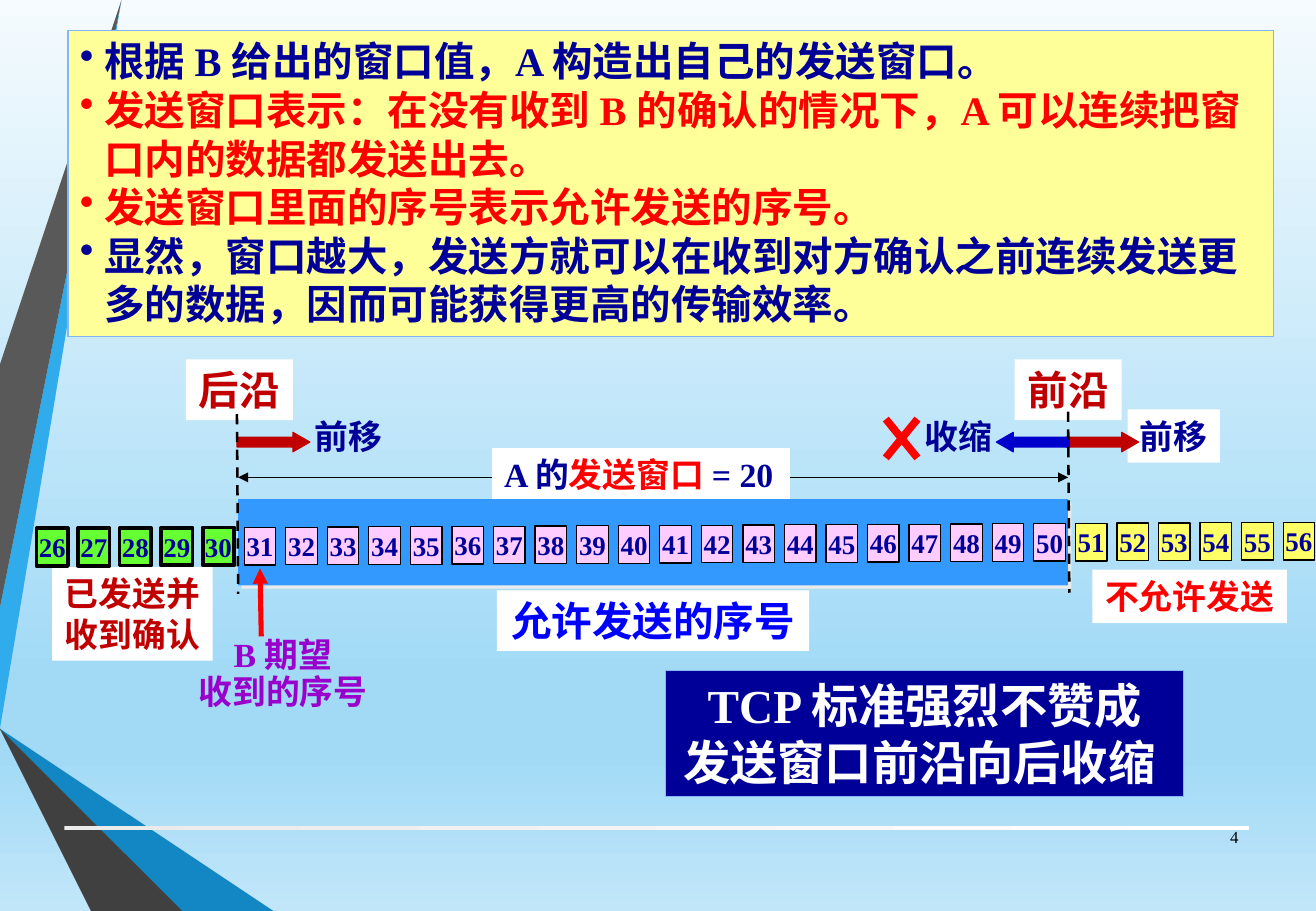
from dataclasses import dataclass
from typing import Optional

from lxml import etree
from pptx import Presentation
from pptx.dml.color import RGBColor
from pptx.enum import dml, shapes, text
from pptx.oxml import ns
from pptx.util import Inches, Pt

FONT = "Times New Roman"
BLACK = RGBColor(0x00, 0x00, 0x00)
WHITE = RGBColor(0xFF, 0xFF, 0xFF)
NAVY = RGBColor(0x00, 0x00, 0x99)
BLUE = RGBColor(0x00, 0x00, 0xFF)
ARROW_BLUE = RGBColor(0x00, 0x00, 0xCC)
RED = RGBColor(0xFF, 0x00, 0x00)
DARK_RED = RGBColor(0xC0, 0x00, 0x00)
PURPLE = RGBColor(0x99, 0x00, 0xCC)
WINDOW_BLUE = RGBColor(0x33, 0x99, 0xFF)
BORDER_BLUE = RGBColor(0x82, 0xB6, 0xF4)
CREAM = RGBColor(0xFF, 0xFF, 0x99)
GREEN = RGBColor(0x66, 0xFF, 0x33)
PINK = RGBColor(0xFF, 0xCC, 0xFF)
YELLOW = RGBColor(0xFF, 0xFF, 0x66)
SILVER = RGBColor(0xEB, 0xEB, 0xEB)
SKY_STOPS = [(0, RGBColor(0xF5, 0xFB, 0xFE)), (74, RGBColor(0xA2, 0xDA, 0xF6)),
             (83, RGBColor(0xA2, 0xDA, 0xF6)), (100, RGBColor(0xC1, 0xE6, 0xF9))]
RULE_STOPS = [(0, SILVER), (100, WHITE)]

LEFT, CENTER, RIGHT = text.PP_ALIGN.LEFT, text.PP_ALIGN.CENTER, text.PP_ALIGN.RIGHT
TOP, MIDDLE = text.MSO_ANCHOR.TOP, text.MSO_ANCHOR.MIDDLE
RECT = shapes.MSO_SHAPE.RECTANGLE
RIGHT_ARROW, LEFT_ARROW = shapes.MSO_SHAPE.RIGHT_ARROW, shapes.MSO_SHAPE.LEFT_ARROW

Run = tuple[str, RGBColor]


@dataclass
class Box:
    at: tuple[float, float, float, float]
    paragraphs: list[list[Run]]
    size: float = 20
    fill: Optional[RGBColor] = WHITE
    line: Optional[RGBColor] = None
    line_width: float = 0.75
    align: text.PP_ALIGN = CENTER
    anchor: text.MSO_ANCHOR = TOP
    bold: bool = True
    wrap: bool = False
    bullet: bool = False
    spacing: Optional[float] = None
    inset: Optional[float] = None


@dataclass
class Line:
    start: tuple[float, float]
    end: tuple[float, float]
    color: RGBColor
    width: float
    ends: tuple[str, ...] = ()
    dashed: bool = False


@dataclass
class Facet:
    color: RGBColor
    points: list[tuple[float, float]]


def set_gradient(element, stops: list[tuple[int, RGBColor]], angle: int) -> None:
    gs_list = next(element.iter(ns.qn("a:gsLst")))
    for gs in list(gs_list):
        gs_list.remove(gs)
    for pos, color in stops:
        gs = etree.SubElement(gs_list, ns.qn("a:gs"), pos=str(pos * 1000))
        etree.SubElement(gs, ns.qn("a:srgbClr"), val=str(color))
    next(element.iter(ns.qn("a:lin"))).set("ang", str(angle * 60000))


def add_shape(s, at, fill: RGBColor, line: Optional[RGBColor] = None,
              width: float = 0.75, kind=RECT):
    sp = s.shapes.add_shape(kind, *map(Inches, at))
    style(sp, fill, line, width)
    return sp


def style(sp, fill: RGBColor, line: Optional[RGBColor], width: float) -> None:
    sp.shadow.inherit = False
    sp.fill.solid()
    sp.fill.fore_color.rgb = fill
    if line is None:
        sp.line.fill.background()
    else:
        sp.line.color.rgb = line
        sp.line.width = Pt(width)


def add_box(s, box: Box) -> None:
    if box.fill is None:
        sp = s.shapes.add_textbox(*map(Inches, box.at))
    else:
        sp = add_shape(s, box.at, box.fill, box.line, box.line_width)
    tf = sp.text_frame
    tf.word_wrap = box.wrap
    tf.vertical_anchor = box.anchor
    if box.inset is not None:
        tf.margin_left = tf.margin_right = tf.margin_top = tf.margin_bottom = Inches(box.inset)
    for i, runs in enumerate(box.paragraphs):
        p = tf.add_paragraph() if i else tf.paragraphs[0]
        if box.bullet:
            pPr = p._p.get_or_add_pPr()
            pPr.set("marL", str(Inches(0.2)))
            pPr.set("indent", str(Inches(-0.2)))
            etree.SubElement(pPr, ns.qn("a:buChar"), char="•")
        p.alignment = box.align
        if box.spacing:
            p.line_spacing = box.spacing
        for words, color in runs:
            r = p.add_run()
            r.text = words
            r.font.name = FONT
            r.font.size = Pt(box.size)
            r.font.bold = box.bold
            r.font.color.rgb = color


def add_line(s, line: Line) -> None:
    sp = s.shapes.add_connector(shapes.MSO_CONNECTOR.STRAIGHT,
                                *map(Inches, line.start + line.end))
    sp.line.color.rgb = line.color
    sp.line.width = Pt(line.width)
    if line.dashed:
        sp.line.dash_style = dml.MSO_LINE.DASH
    for end in line.ends:
        etree.SubElement(sp.line._get_or_add_ln(), ns.qn(f"a:{end}"), type="triangle")
    etree.SubElement(sp._element.spPr, ns.qn("a:effectLst"))


def add_facet(s, facet: Facet) -> None:
    builder = s.shapes.build_freeform(*facet.points[0], scale=Inches(1))
    builder.add_line_segments(facet.points[1:], close=True)
    style(builder.convert_to_shape(), facet.color, None, 0)


def add_arrow(s, left: float, color: RGBColor, kind=RIGHT_ARROW) -> None:
    sp = add_shape(s, (left, 3.56, 0.6, 0.16), color, color, kind=kind)
    sp.adjustments[0], sp.adjustments[1] = 0.5, 0.87


def add_window(s) -> None:
    sp = add_shape(s, (1.96, 4.11, 6.83, 0.71), WINDOW_BLUE)
    effects = sp._element.spPr.find(ns.qn("a:effectLst"))
    shadow = etree.SubElement(effects, ns.qn("a:outerShdw"), dist=str(Pt(2.8)),
                              dir=str(45 * 60000), algn="ctr", rotWithShape="0")
    etree.SubElement(shadow, ns.qn("a:srgbClr"), val=str(SILVER))


def add_sequence(s) -> None:
    first, last = 26, 56
    for n in range(first, last + 1):
        t = (n - first) / (last - first)
        fill = GREEN if n <= 30 else PINK if n <= 50 else YELLOW
        add_box(s, Box((0.3 + 10.26 * t, 4.35 - 0.05 * t, 0.26, 0.31), [[(str(n), NAVY)]],
                       16, fill, BLACK, 2.25 if n <= 30 else 0.75, anchor=MIDDLE, inset=0))


FACETS = [
    Facet(RGBColor(0x30, 0xAC, 0xEC),
          [(0, 5.44), (0, 5.75), (0.24, 5.79), (1.27, 0), (0.97, 0)]),
    Facet(RGBColor(0x59, 0x59, 0x59), [(0.9, 0), (0.6, 0), (0, 3.36), (0, 5.06)]),
    Facet(RGBColor(0x26, 0x26, 0x26), [(0, 6.19), (0, 6.21), (1.01, 7.5), (1.07, 7.5)]),
    Facet(RGBColor(0x0C, 0x5A, 0x82), [(0, 5.79), (0, 5.8), (1.69, 7.5), (1.76, 7.5)]),
    Facet(RGBColor(0x12, 0x87, 0xC3),
          [(0, 5.79), (1.76, 7.5), (2.53, 7.5), (0.24, 5.79), (0, 5.75)]),
    Facet(RGBColor(0x40, 0x40, 0x40), [(0, 6.19), (1.07, 7.5), (1.63, 7.5), (0, 5.86)]),
]
LABELS_BEHIND = [
    Box((8.99, 4.69, 1.6, 0.44), [[("不允许发送", RED)]]),
    Box((0.43, 4.67, 1.32, 0.77), [[("已发送并", DARK_RED)], [("收到确认", DARK_RED)]]),
]
WINDOW_LABELS = [
    Box((4.05, 3.69, 2.45, 0.44),
        [[("A 的", NAVY), ("发送窗口 ", RED), ("= 20", NAVY)]], align=LEFT),
    Box((4.09, 4.86, 2.57, 0.5), [[("允许发送的序号", BLUE)]], 24),
]
EDGE_LABELS = [
    Box((1.53, 5.21, 1.6, 0.71), [[("B 期望", PURPLE)], [("收到的序号", PURPLE)]],
        fill=None, spacing=0.9),
    Box((8.35, 2.96, 0.88, 0.5), [[("前沿", DARK_RED)]], 24),
    Box((1.53, 2.96, 0.88, 0.5), [[("后沿", DARK_RED)]], 24),
    Box((2.49, 3.37, 0.76, 0.44), [[("前移", NAVY)]], fill=None),
    Box((7.51, 3.37, 0.76, 0.44), [[("收缩", NAVY)]], fill=None),
]
LINES = [
    Line((2.15, 5.24), (2.14, 4.68), RED, 3, ("tailEnd",)),
    Line((1.95, 3.41), (1.96, 4.89), BLACK, 1.5, dashed=True),
    Line((8.79, 3.39), (8.8, 4.88), BLACK, 1.5, dashed=True),
    Line((7.55, 3.45), (7.29, 3.77), RED, 4.5),
    Line((7.29, 3.45), (7.55, 3.77), RED, 4.5),
]
NOTES = [
    Box((0.56, 0.25, 9.92, 2.52), [
        [("根据 B 给出的窗口值，A 构造出自己的发送窗口。", NAVY)],
        [("发送窗口表示：在没有收到 B 的确认的情况下，A 可以连续把窗口内的数据都发送出去。", RED)],
        [("发送窗口里面的序号表示允许发送的序号。", RED)],
        [("显然，窗口越大，发送方就可以在收到对方确认之前连续发送更多的数据，"
          "因而可能获得更高的传输效率。", NAVY)],
    ], 24, CREAM, BORDER_BLUE, align=LEFT, wrap=True, bullet=True),
    Box((5.48, 5.52, 4.26, 1.04),
        [[("TCP 标准强烈不赞成", WHITE)], [("发送窗口前沿向后收缩 ", WHITE)]],
        28, NAVY, BORDER_BLUE),
    Box((9.8, 6.69, 0.49, 0.4), [[("4", BLACK)]], 10, None,
        align=RIGHT, anchor=MIDDLE, bold=False, wrap=True),
]


def main() -> None:
    prs = Presentation()
    prs.slide_width, prs.slide_height = Inches(10.83), Inches(7.5)
    s = prs.slides.add_slide(prs.slide_layouts[6])
    s.background.fill.gradient()
    set_gradient(s._element, SKY_STOPS, 90)
    for facet in FACETS:
        add_facet(s, facet)
    rule = add_shape(s, (0.53, 6.8, 9.75, 0.03), WHITE)
    rule.fill.gradient()
    set_gradient(rule._element, RULE_STOPS, 0)
    add_box(s, Box((9.28, 3.37, 0.76, 0.44), [[("前移", NAVY)]]))
    add_arrow(s, 8.77, DARK_RED)
    add_arrow(s, 8.2, ARROW_BLUE, LEFT_ARROW)
    add_arrow(s, 1.95, DARK_RED)
    for box in LABELS_BEHIND:
        add_box(s, box)
    add_line(s, Line((1.96, 3.93), (8.79, 3.93), BLACK, 0.75, ("headEnd", "tailEnd")))
    for box in WINDOW_LABELS:
        add_box(s, box)
    add_window(s)
    add_sequence(s)
    for box in EDGE_LABELS:
        add_box(s, box)
    for line in LINES:
        add_line(s, line)
    for box in NOTES:
        add_box(s, box)
    prs.save("out.pptx")


if __name__ == "__main__":
    main()
